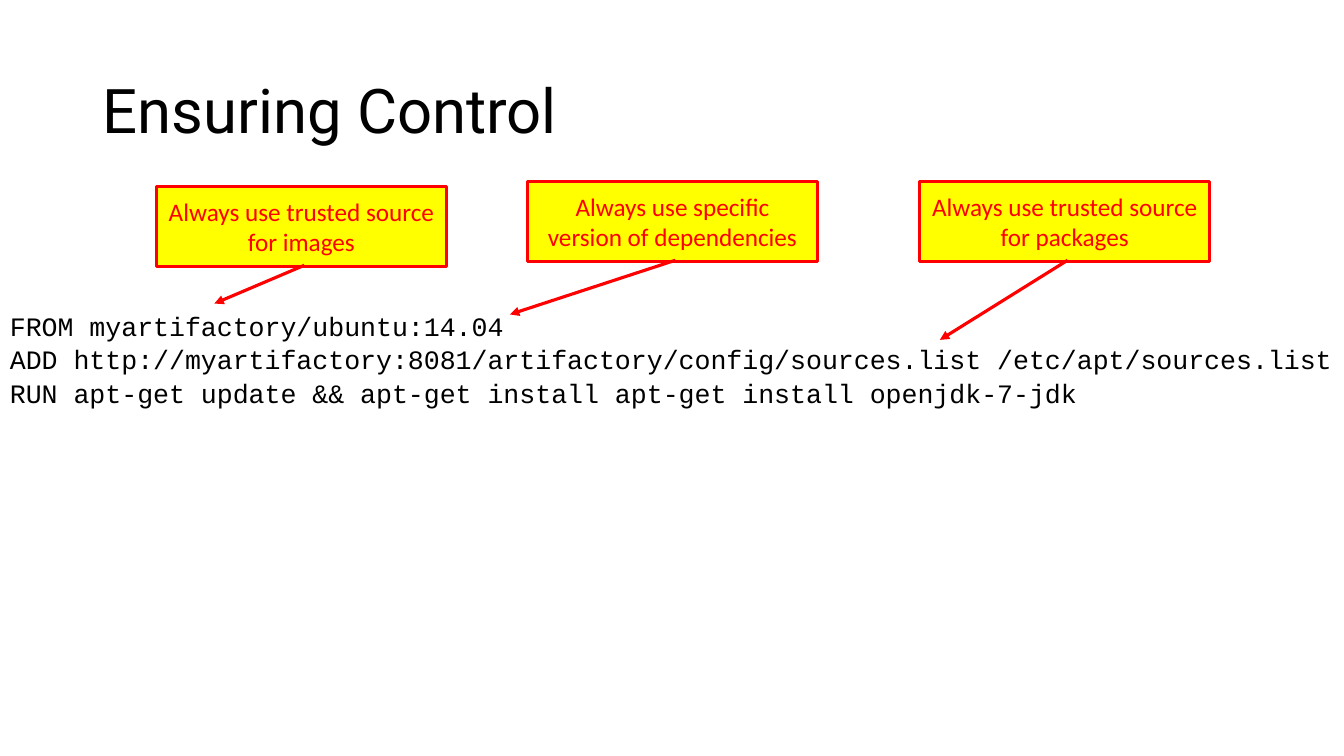
import pptx
import pptx.dml.color
import pptx.enum.shapes
import pptx.enum.text
import pptx.oxml.ns
import pptx.util
from lxml import etree
from pptx.util import Inches

COLOURS = {"text": "000000", "callout": "FFFF00", "accent": "FF0000"}

DOCKERFILE = [
    "FROM myartifactory/ubuntu:14.04",
    "ADD http://myartifactory:8081/artifactory/config/sources.list /etc/apt/sources.list",
    "RUN apt-get update && apt-get install apt-get install openjdk-7-jdk",
]

# Text, left, top, and the pointer's tip as fractions of the box (down, across)
ADVICE = [
    ("Always use trusted source for images", 1.55, 1.85, (1.47, 0.2)),
    ("Always use specific version of dependencies", 5.23, 1.8, (1.67, -0.06)),
    ("Always use trusted source for packages", 9.12, 1.8, (1.99, 0.07)),
]
POINTER_START = (0.99, 0.51)


def colour(name):
    return pptx.dml.color.RGBColor.from_string(COLOURS[name])


def format_text(frame, font_name, size, colour_name):
    for paragraph in frame.paragraphs:
        for run in paragraph.runs:
            run.font.name = font_name
            run.font.size = pptx.util.Pt(size)
            run.font.color.rgb = colour(colour_name)


def add_title(slide, text):
    title = slide.shapes.add_textbox(Inches(0.92), Inches(0.4), Inches(11.5), Inches(1.45))
    frame = title.text_frame
    frame.word_wrap = True
    frame.vertical_anchor = pptx.enum.text.MSO_ANCHOR.MIDDLE
    frame.text = text
    frame.paragraphs[0].line_spacing = 0.9
    format_text(frame, "Roboto", 44, "text")


def add_code(slide, lines):
    code = slide.shapes.add_textbox(Inches(0), Inches(2.99), Inches(13.33), Inches(1.14))
    frame = code.text_frame
    frame.word_wrap = True
    frame.margin_right = 0  # the longest line needs the full width
    frame.margin_top = Inches(0.08)
    frame.text = "\n".join(lines)
    for paragraph in frame.paragraphs[1:]:
        paragraph.space_before = pptx.util.Pt(1.4)
    format_text(frame, "Courier New", 19, "text")


def add_callout(slide, text, left, top, tip):
    callout = slide.shapes.add_shape(
        pptx.enum.shapes.MSO_SHAPE.LINE_CALLOUT_1,
        Inches(left), Inches(top), Inches(2.88), Inches(0.79))
    for index, value in enumerate(POINTER_START + tip):
        callout.adjustments[index] = value
    callout.shadow.inherit = False
    callout.fill.solid()
    callout.fill.fore_color.rgb = colour("callout")
    callout.line.color.rgb = colour("accent")
    callout.line.width = pptx.util.Pt(2.25)
    outline = callout.line._get_or_add_ln()
    etree.SubElement(outline, pptx.oxml.ns.qn("a:tailEnd"), type="triangle")
    frame = callout.text_frame
    frame.word_wrap = True
    frame.vertical_anchor = pptx.enum.text.MSO_ANCHOR.MIDDLE
    frame.text = text
    frame.paragraphs[0].alignment = pptx.enum.text.PP_ALIGN.CENTER
    format_text(frame, "Calibri", 18, "accent")


def main():
    deck = pptx.Presentation()
    deck.slide_width = Inches(13.33)
    deck.slide_height = Inches(7.5)
    slide = deck.slides.add_slide(deck.slide_layouts[6])
    add_title(slide, "Ensuring Control")
    add_code(slide, DOCKERFILE)
    for text, left, top, tip in ADVICE:
        add_callout(slide, text, left, top, tip)
    deck.save("out.pptx")


if __name__ == "__main__":
    main()
